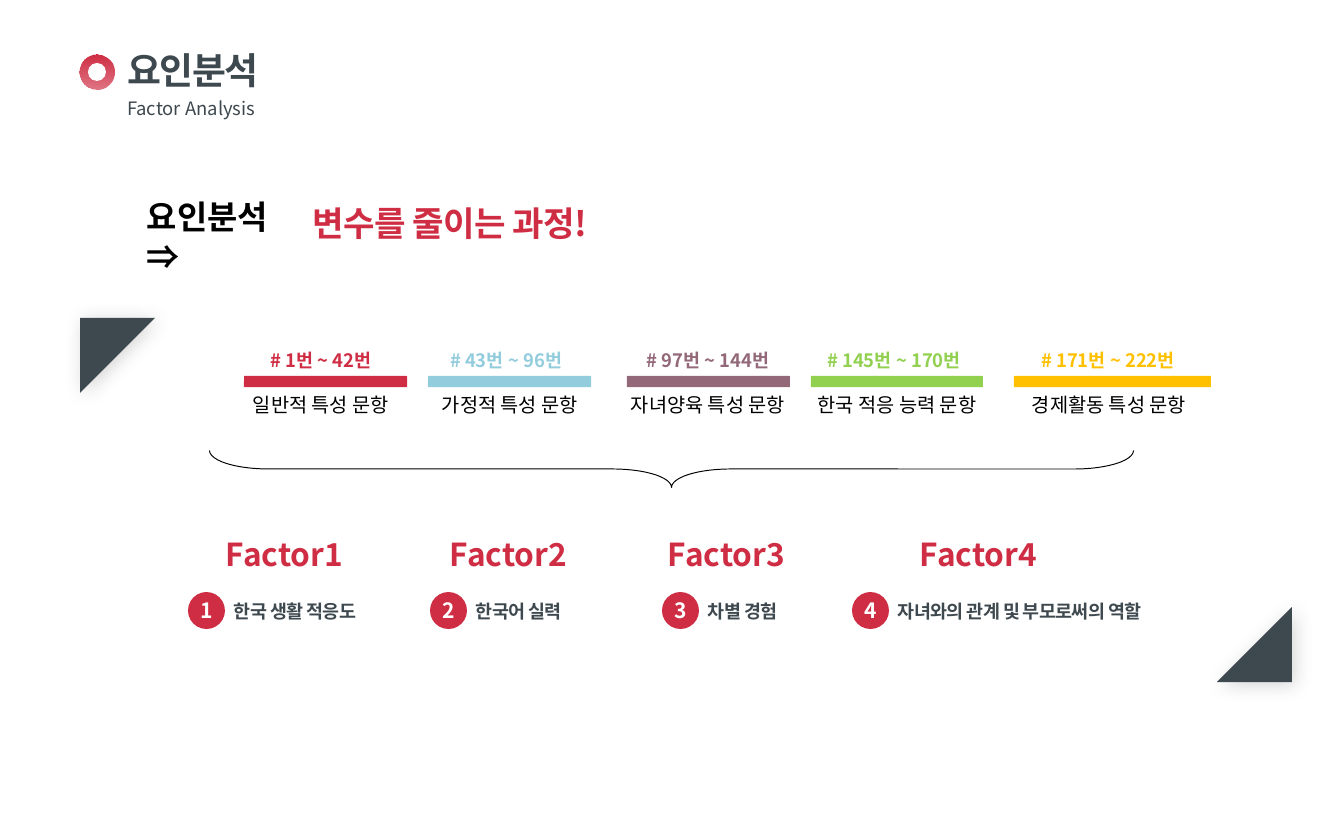
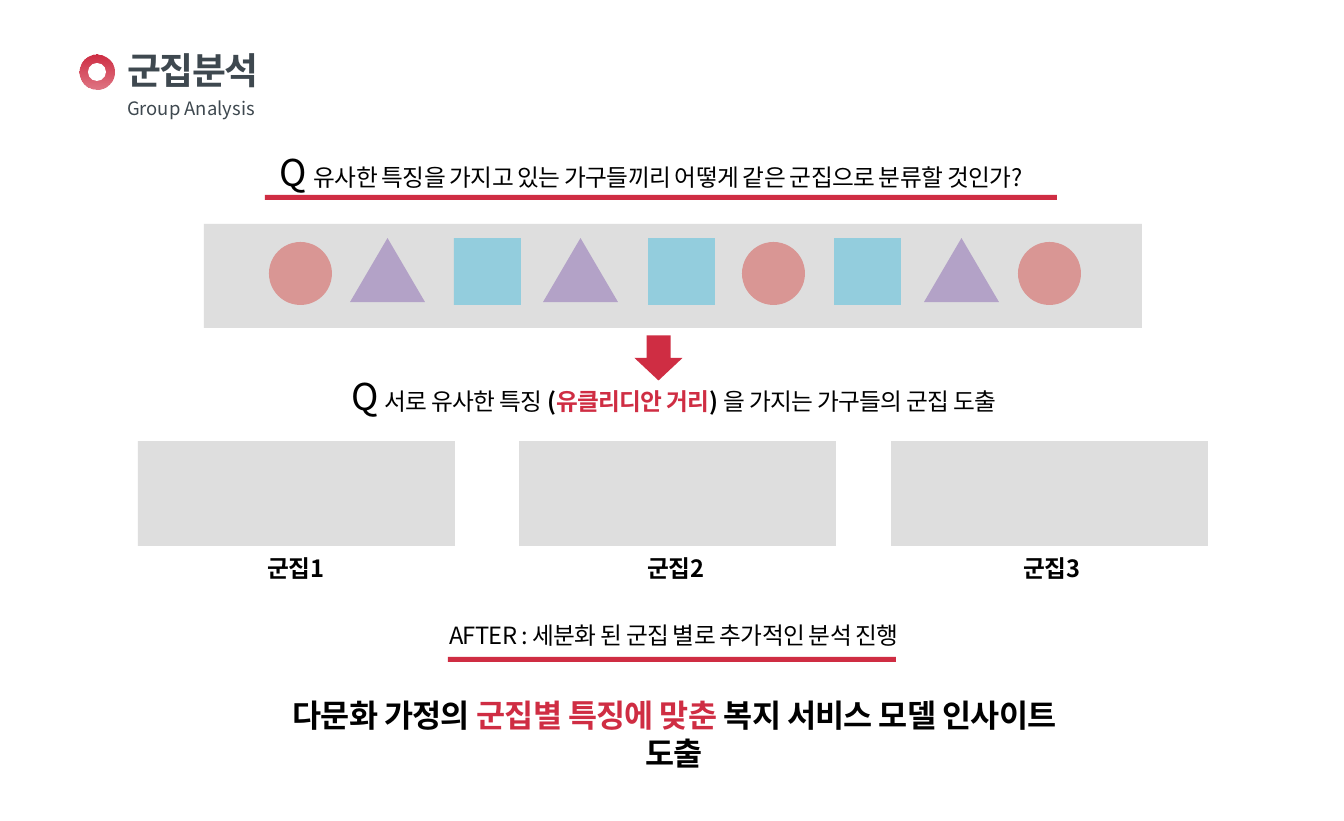
from dataclasses import dataclass

from lxml import etree
from pptx import Presentation
from pptx import util as u
from pptx.dml.color import RGBColor
from pptx.enum import shapes, text
from pptx.oxml import ns

KIND = shapes.MSO_SHAPE
LEFT, CENTRE = text.PP_ALIGN.LEFT, text.PP_ALIGN.CENTER
TOP, MIDDLE = text.MSO_ANCHOR.TOP, text.MSO_ANCHOR.MIDDLE


@dataclass(frozen=True)
class Theme:
    """Colours, type sizes in points, and the font of the deck."""
    font: str = "Noto Sans CJK KR"
    red: str = "CF2D43"
    slate: str = "3E484F"
    black: str = "000000"
    white: str = "FFFFFF"
    grey: str = "DEDEDE"
    blue: str = "93CDDD"
    plum: str = "936979"
    green: str = "92D050"
    amber: str = "FFC000"
    rose: str = "D99694"
    lilac: str = "B3A2C7"
    title: int = 28
    slogan: int = 26
    lead: int = 25
    heading: int = 24
    body: int = 18
    number: int = 16
    caption: int = 15
    small: int = 14


THEME = Theme()
SCALE = u.Inches(1) / 94.8
PAGE_SIZE = (1344, 821)

# tag, caption, colour, bar left, bar width, tag centre, caption centre
QUESTIONS = [
    ("# 1번 ~ 42번", "일반적 특성 문항", THEME.red, 244, 163, 321, 321),
    ("# 43번 ~ 96번", "가정적 특성 문항", THEME.blue, 428, 163, 506, 510),
    ("# 97번 ~ 144번", "자녀양육 특성 문항", THEME.plum, 627, 163, 708, 708),
    ("# 145번 ~ 170번", "한국 적응 능력 문항", THEME.green, 811, 172, 894, 897),
    ("# 171번 ~ 222번", "경제활동 특성 문항", THEME.amber, 1014, 197, 1108, 1109),
]
# caption, number left, heading left
FACTORS = [
    ("한국 생활 적응도", 188, 226),
    ("한국어 실력", 430, 450),
    ("차별 경험", 662, 668),
    ("자녀와의 관계 및 부모로써의 역할", 852, 920),
]
# left, top, size, rotation
CORNERS = [(1217, 607, 75, 270), (80, 318, 75, 90)]

# kind, colour, top, width, height
CIRCLE = (KIND.OVAL, THEME.rose, 242, 63, 63)
TRIANGLE = (KIND.ISOSCELES_TRIANGLE, THEME.lilac, 238, 75, 64)
SQUARE = (KIND.RECTANGLE, THEME.blue, 238, 67, 67)
HOUSEHOLDS = [
    (CIRCLE, 269), (TRIANGLE, 350), (SQUARE, 454), (TRIANGLE, 543), (SQUARE, 648),
    (CIRCLE, 742), (SQUARE, 834), (TRIANGLE, 924), (CIRCLE, 1018),
]
# label, box left, label left
CLUSTERS = [("군집1", 138, 225), ("군집2", 519, 605), ("군집3", 891, 981)]
UNDERLINES = [(265, 195, 792, 5), (448, 657, 448, 5)]


def span(words, size, colour=THEME.black, bold=False, spacing=0):
    """Describe one run of text."""
    return words, size, colour, bold, spacing


# area, runs
STATEMENTS = [
    ((250, 150, 802, 45), [
        span("Q", THEME.title, spacing=-50),
        span(" ", THEME.heading, spacing=-50),
        span("유사한 특징을 가지고 있는 가구들끼리 어떻게 같은 군집으로 분류할 것인가?",
             THEME.body, spacing=-50)]),
    ((273, 374, 802, 45), [
        span("Q", THEME.title, spacing=-50),
        span(" 서로 유사한 특징", THEME.body, spacing=-50),
        span(" (", THEME.body, bold=True, spacing=-50),
        span("유클리디안 거리", THEME.body, THEME.red, True, -50),
        span(") ", THEME.body, bold=True, spacing=-50),
        span("을 가지는 가구들의 군집 도출", THEME.body, spacing=-50)]),
    ((273, 621, 802, 28), [
        span("AFTER : 세분화 된 군집 별로 추가적인 분석 진행", THEME.body, spacing=-50)]),
    ((273, 696, 802, 38), [
        span("다문화 가정의 ", THEME.heading, bold=True, spacing=-50),
        span("군집별 특징에 맞춘", THEME.heading, THEME.red, True, -50),
        span(" 복지 서비스 모델 인사이트 도출", THEME.heading, bold=True, spacing=-50)]),
]


def px(length):
    """Turn pixels into EMU."""
    return u.Emu(round(length * SCALE))


def write(shape, spans, align=LEFT, anchor=TOP, inset=(0, 0), line_spacing=None):
    """Fill a shape with one paragraph, run by run."""
    frame = shape.text_frame
    frame.word_wrap = True
    frame.vertical_anchor = anchor
    frame.margin_left = frame.margin_right = px(inset[0])
    frame.margin_top = frame.margin_bottom = px(inset[1])
    para = frame.paragraphs[0]
    para.alignment = align
    para.line_spacing = line_spacing
    for words, size, colour, bold, spacing in spans:
        run = para.add_run()
        run.text = words
        run.font.size = u.Pt(size)
        run.font.bold = bold
        run.font.name = THEME.font
        run.font.color.rgb = RGBColor.from_string(colour)
        props = run._r.get_or_add_rPr()
        props.set("spc", str(spacing))
        etree.SubElement(props, ns.qn("a:ea"), typeface=THEME.font)


def add_text(page, area, spans, **layout):
    """Add a text box."""
    write(page.shapes.add_textbox(*map(px, area)), spans, **layout)


def add_block(page, kind, area, colour=None, rotation=0, adjust=()):
    """Add a preset shape without outline or shadow."""
    shape = page.shapes.add_shape(kind, *map(px, area))
    shape.shadow.inherit = False
    shape.rotation = rotation
    for index, value in enumerate(adjust):
        shape.adjustments[index] = value
    if colour:
        shape.fill.solid()
        shape.fill.fore_color.rgb = RGBColor.from_string(colour)
    else:
        shape.fill.background()
    shape.line.fill.background()
    return shape


def add_header(page, title, subtitle):
    """Add the ring, title and subtitle that every slide carries."""
    ring = add_block(page, KIND.OVAL, (80, 55, 34, 34))
    ring.fill.gradient()
    ring.fill.gradient_angle = 270
    for stop in ring.fill.gradient_stops:
        stop.color.rgb = RGBColor.from_string(THEME.red)
    ring.fill.gradient_stops[0].position = 0
    ring.fill.gradient_stops[1].position = 1
    last_colour = ring._element.xpath(".//a:gs/a:srgbClr")[-1]
    etree.SubElement(last_colour, ns.qn("a:alpha"), val="65000")
    add_block(page, KIND.OVAL, (88, 63, 18, 18), THEME.white)
    add_text(page, (127, 48, 1098, 45),
             [span(title, THEME.title, THEME.slate, True, -100)])
    add_text(page, (127, 97, 1098, 23), [span(subtitle, THEME.small, THEME.slate)])


def add_corner(page, left, top, size, rotation):
    """Add a corner triangle with a soft shadow."""
    corner = add_block(page, KIND.RIGHT_TRIANGLE, (left, top, size, size),
                       THEME.slate, rotation)
    effects = corner._element.spPr.find(ns.qn("a:effectLst"))
    shadow = etree.SubElement(effects, ns.qn("a:outerShdw"), blurRad=str(u.Pt(15)),
                              dist=str(u.Pt(3)), dir="2700000", rotWithShape="0")
    tint = etree.SubElement(shadow, ns.qn("a:srgbClr"), val=THEME.black)
    etree.SubElement(tint, ns.qn("a:alpha"), val="16000")


def add_question(page, tag, caption, colour, left, width, tag_centre, caption_centre):
    """Add a bar with its range above and its topic below."""
    add_block(page, KIND.ROUNDED_RECTANGLE, (left, 376, width, 11), colour, adjust=[0.05])
    rows = [(caption_centre, 388, span(caption, THEME.caption)),
            (tag_centre, 344, span(tag, THEME.small, colour, True))]
    for centre, top, words in rows:
        add_text(page, (centre - 100, top, 200, 33), [words], align=CENTRE, inset=(9, 5))


def add_factor(page, number, caption, left, heading_left):
    """Add a factor heading, its number and its caption."""
    add_text(page, (heading_left, 535, 139, 38),
             [span(f"Factor{number}", THEME.heading, THEME.red, True)], anchor=MIDDLE)
    badge = add_block(page, KIND.ROUNDED_RECTANGLE, (left, 592, 37, 37), THEME.red,
                      adjust=[0.5])
    write(badge, [span(str(number), THEME.number, THEME.white, True)], CENTRE, MIDDLE)
    add_text(page, (left + 46, 600, 257, 23),
             [span(caption, THEME.small, THEME.slate, True, -50)])


def build_factor_page(page):
    """Show how the question groups reduce to four factors."""
    add_header(page, "요인분석", "Factor Analysis")
    for corner in CORNERS:
        add_corner(page, *corner)
    brace = add_block(page, KIND.RIGHT_BRACE, (653, 7, 37, 924), rotation=90,
                      adjust=[1.6, 0.5])
    brace.line.color.rgb = RGBColor.from_string(THEME.black)
    brace.line.width = u.Pt(0.75)
    for number, factor in enumerate(FACTORS, 1):
        add_factor(page, number, *factor)
    add_text(page, (138, 192, 174, 49), [span("요인분석 ⇒", THEME.lead, bold=True)],
             inset=(9, 5))
    add_text(page, (304, 177, 320, 72),
             [span("변수를 줄이는 과정!", THEME.slogan, THEME.red, True, -50)],
             inset=(9, 5), line_spacing=1.5)
    for question in QUESTIONS:
        add_question(page, *question)


def build_cluster_page(page):
    """Show how mixed households are sorted into clusters."""
    add_header(page, "군집분석", "Group Analysis")
    add_block(page, KIND.RECTANGLE, (204, 224, 938, 104), THEME.grey)
    for (kind, colour, top, width, height), left in HOUSEHOLDS:
        add_block(page, kind, (left, top, width, height), colour)
    for label, left, label_left in CLUSTERS:
        add_block(page, KIND.RECTANGLE, (left, 441, 317, 105), THEME.grey)
        add_text(page, (label_left, 554, 142, 28),
                 [span(label, THEME.body, bold=True, spacing=-50)], align=CENTRE)
    for area in UNDERLINES:
        add_block(page, KIND.RECTANGLE, area, THEME.red)
    for area, spans in STATEMENTS:
        add_text(page, area, spans, align=CENTRE)
    add_block(page, KIND.RIGHT_ARROW, (636, 334, 45, 48), THEME.red, rotation=90)


def main():
    """Build and save the deck."""
    deck = Presentation()
    deck.slide_width, deck.slide_height = map(px, PAGE_SIZE)
    for build in (build_factor_page, build_cluster_page):
        build(deck.slides.add_slide(deck.slide_layouts[6]))
    deck.save("out.pptx")


main()
